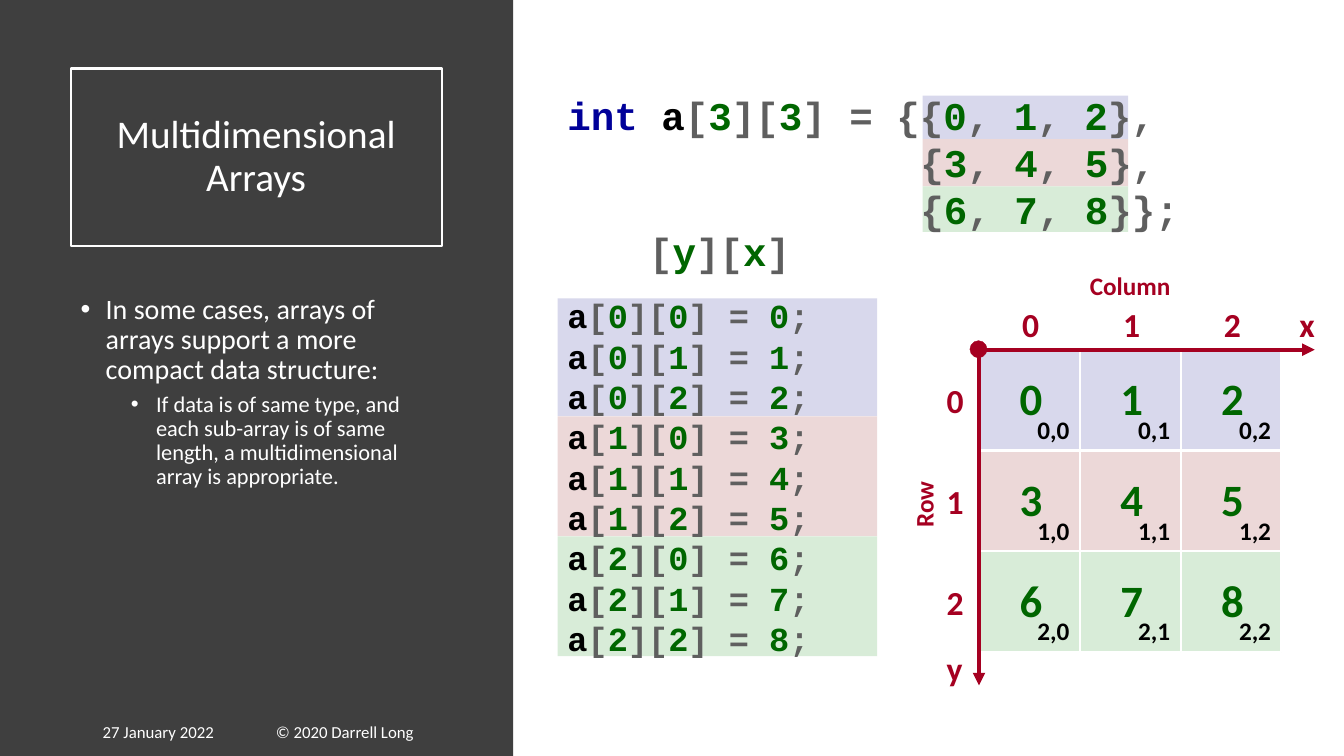
from itertools import groupby

from lxml import etree
from pptx import Presentation
from pptx.dml.color import RGBColor
from pptx.enum.shapes import MSO_CONNECTOR as Connector, MSO_SHAPE as Shape
from pptx.enum.text import MSO_ANCHOR as Anchor, MSO_AUTO_SIZE as AutoSize, PP_ALIGN as Align
from pptx.oxml.ns import qn
from pptx.util import Inches, Pt

COLORS = {
    "panel": "3F3F3F", "white": "FFFFFF", "black": "000000", "axis": "A50021",
    "number": "006600", "keyword": "000099", "symbol": "5F5F5F",
}
ROW_COLORS = ["D8D8EC", "ECD8D8", "D8ECD8"]
SANS, MONO = "Calibri", "Courier New"
GRID_LEFT, GRID_TOP, CELL = 9.71, 3.47, 1
CODE_LEFT = 5.53


def rgb(color):
    return RGBColor.from_string(COLORS.get(color, color))


def code_runs(code, name_color="black"):
    """Split a line of C into (text, colour) runs."""
    def color_of(char):
        if char.isdigit():
            return "number"
        return name_color if char.isalpha() else "symbol"

    runs = []
    for color, chars in groupby(code, color_of):
        token = "".join(chars)
        runs.append((token, "keyword" if token == "int" else color))
    return runs


class SlideBuilder:
    def __init__(self, slide):
        self.slide = slide

    def shape(self, left, top, width, height, fill=None, line=None, line_width=1.5,
              kind=Shape.RECTANGLE):
        shape = self.slide.shapes.add_shape(
            kind, Inches(left), Inches(top), Inches(width), Inches(height))
        shape.shadow.inherit = False
        if fill:
            shape.fill.solid()
            shape.fill.fore_color.rgb = rgb(fill)
        else:
            shape.fill.background()
        if line:
            shape.line.color.rgb = rgb(line)
            shape.line.width = Pt(line_width)
        else:
            shape.line.fill.background()
        return shape

    def add_runs(self, paragraph, runs, size, font=SANS, bold=False, align=Align.LEFT):
        paragraph.alignment = align
        for text, color in runs:
            run = paragraph.add_run()
            run.text = text
            run.font.name = font
            run.font.size = Pt(size)
            run.font.bold = bold
            run.font.color.rgb = rgb(color)

    def text_box(self, left, top, width, height, wrap=True, grow=True, anchor=Anchor.TOP):
        box = self.slide.shapes.add_textbox(
            Inches(left), Inches(top), Inches(width), Inches(height))
        frame = box.text_frame
        frame.word_wrap = wrap
        frame.auto_size = AutoSize.SHAPE_TO_FIT_TEXT if grow else AutoSize.NONE
        frame.vertical_anchor = anchor
        return box

    def label(self, left, top, width, height, text, color, size, align=Align.LEFT, wrap=False):
        box = self.text_box(left, top, width, height, wrap)
        self.add_runs(box.text_frame.paragraphs[0], [(text, color)], size, bold=True, align=align)
        return box

    def footer(self, left, width, text, align):
        box = self.text_box(left, 7.06, width, 0.4, grow=False, anchor=Anchor.MIDDLE)
        self.add_runs(box.text_frame.paragraphs[0], [(text, "white")], 12, align=align)

    def code(self, left, top, width, height, lines, size, hanging=0, wrap=True):
        """Add lines of runs; lines after the first start at the hanging indent."""
        frame = self.text_box(left, top, width, height, wrap).text_frame
        for number, runs in enumerate(lines):
            paragraph = frame.paragraphs[0] if number == 0 else frame.add_paragraph()
            self.add_runs(paragraph, runs, size, MONO, bold=True)
            if number and hanging:
                self.indent(paragraph, hanging, 0)

    def indent(self, paragraph, margin, first):
        properties = paragraph._p.get_or_add_pPr()
        properties.set("marL", str(Inches(margin)))
        properties.set("indent", str(Inches(first)))
        return properties

    def bullet(self, paragraph, text, size, level, margin, space):
        paragraph.level = level
        paragraph.line_spacing = 0.9
        paragraph.space_before = Pt(space)
        self.add_runs(paragraph, [(text, "white")], size)
        properties = self.indent(paragraph, margin, -0.25)
        etree.SubElement(properties, qn("a:buFont"), typeface="Arial")
        etree.SubElement(properties, qn("a:buChar"), char="•")

    def arrow(self, left, top, right, bottom):
        arrow = self.slide.shapes.add_connector(
            Connector.STRAIGHT, Inches(left), Inches(top), Inches(right), Inches(bottom))
        arrow.line.color.rgb = rgb("axis")
        arrow.line.width = Pt(3)
        etree.SubElement(arrow.line._get_or_add_ln(), qn("a:tailEnd"), type="triangle")
        etree.SubElement(arrow._element.spPr, qn("a:effectLst"))


def add_side_panel(builder):
    builder.shape(0, 0, 5.09, 7.5, "panel")
    title = builder.shape(0.7, 0.68, 3.68, 1.76, line="white").text_frame
    title.word_wrap = True
    title.vertical_anchor = Anchor.MIDDLE
    title.paragraphs[0].line_spacing = 0.9
    builder.add_runs(title.paragraphs[0], [("Multidimensional Arrays", "white")], 28,
                     align=Align.CENTER)

    body = builder.text_box(0.7, 2.88, 3.68, 3.74, grow=False).text_frame
    builder.bullet(body.paragraphs[0],
                   "In some cases, arrays of arrays support a more compact data structure:",
                   20, 0, 0.25, 10)
    builder.bullet(body.add_paragraph(),
                   "If data is of same type, and each sub-array is of same length, "
                   "a multidimensional array is appropriate.",
                   16, 1, 0.75, 5)
    builder.footer(1.17, 4.5, "© 2020 Darrell Long", Align.CENTER)
    builder.footer(0.92, 3, "27 January 2022", Align.LEFT)


def add_code(builder):
    declaration_edges = [0.95, 1.38, 1.85, 2.3]
    assignment_edges = [2.96, 4.13, 5.32, 6.51]
    for left, width, edges in ((9.15, 2.04, declaration_edges),
                               (CODE_LEFT, 3.17, assignment_edges)):
        for top, bottom, color in zip(edges, edges[1:], ROW_COLORS):
            builder.shape(left, top, width, bottom - top, color)

    declaration = ["int a[3][3] = {{0, 1, 2},", "{3, 4, 5},", "{6, 7, 8}};"]
    builder.code(CODE_LEFT, 0.86, 7.42, 1.5, map(code_runs, declaration), 28, hanging=3.5)
    builder.code(6.34, 2.21, 1.6, 0.57, [code_runs("[y][x]", "number")], 28, wrap=False)
    assignments = [f"a[{row}][{column}] = {3 * row + column};"
                   for row in range(3) for column in range(3)]
    builder.code(CODE_LEFT, 2.88, 2.62, 3.74, map(code_runs, assignments), 24)


def add_grid(builder):
    for row, color in enumerate(ROW_COLORS):
        top = GRID_TOP + row * CELL
        for column in range(3):
            left = GRID_LEFT + column * CELL
            builder.shape(left, top, CELL, CELL, color, "white")
            builder.label(left + 0.25, top + 0.16, 0.53, 0.63, str(3 * row + column),
                          "number", 32, Align.CENTER, wrap=True)
            builder.label(left + 0.48, top + 0.59, 0.52, 0.4, f"{row},{column}", "black", 18)

    builder.arrow(GRID_LEFT, GRID_TOP, GRID_LEFT, 6.8)
    builder.arrow(GRID_LEFT, GRID_TOP, 13.04, GRID_TOP)
    builder.shape(9.62, 3.38, 0.17, 0.17, "axis", "axis", 0.25, Shape.OVAL)

    for index in range(3):
        builder.label(10.04 + index * CELL, 2.97, 0.37, 0.5, str(index), "axis", 24)
        builder.label(9.29, 3.72 + index * CELL, 0.37, 0.5, str(index), "axis", 24)
    builder.label(12.79, 2.97, 0.36, 0.5, "x", "axis", 24)
    builder.label(9.29, 6.38, 0.36, 0.5, "y", "axis", 24)
    builder.label(10.71, 2.63, 1.01, 0.4, "Column", "axis", 18)
    builder.label(8.83, 4.8, 0.66, 0.4, "Row", "axis", 18).rotation = 270


def main():
    presentation = Presentation()
    presentation.slide_width = Inches(13.33)
    presentation.slide_height = Inches(7.5)
    builder = SlideBuilder(presentation.slides.add_slide(presentation.slide_layouts[6]))
    add_side_panel(builder)
    add_code(builder)
    add_grid(builder)
    presentation.save("out.pptx")


if __name__ == "__main__":
    main()
